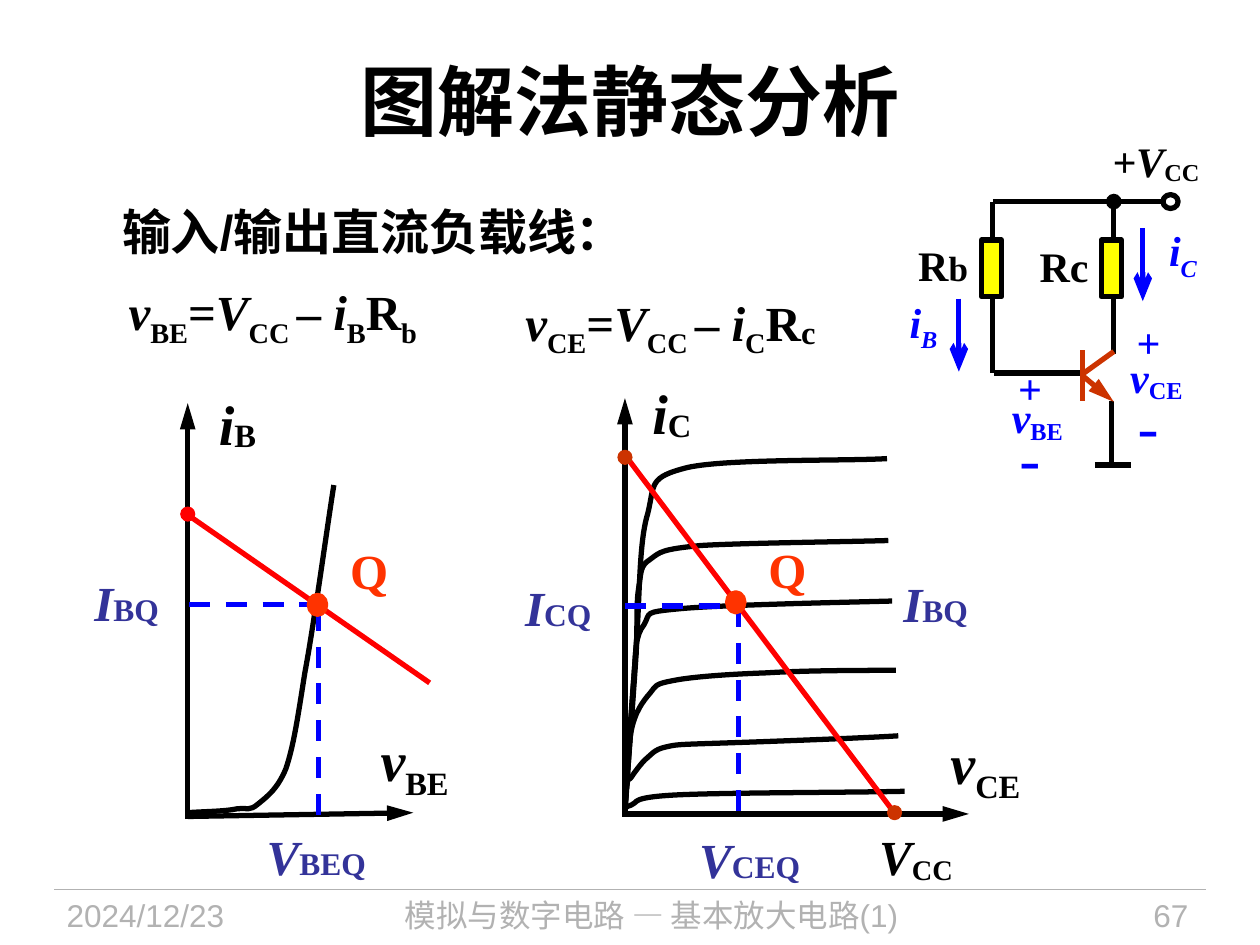
from dataclasses import dataclass
from lxml import etree
from pptx import Presentation
from pptx.dml.color import RGBColor
from pptx.enum.dml import MSO_LINE
from pptx.enum.shapes import MSO_CONNECTOR, MSO_SHAPE
from pptx.enum.text import MSO_ANCHOR, MSO_AUTO_SIZE, PP_ALIGN
from pptx.oxml.ns import qn
from pptx.util import Inches, Pt

LEFT, CENTER, RIGHT = PP_ALIGN.LEFT, PP_ALIGN.CENTER, PP_ALIGN.RIGHT
TOP, MIDDLE = MSO_ANCHOR.TOP, MSO_ANCHOR.MIDDLE
OVAL, RECTANGLE = MSO_SHAPE.OVAL, MSO_SHAPE.RECTANGLE


@dataclass(frozen=True)
class Theme:
    black: str = "000000"
    gray: str = "B2B2B2"
    blue: str = "0000FF"
    navy: str = "333399"
    red: str = "FF0000"
    orange: str = "FF3300"
    rust: str = "CC3300"
    yellow: str = "FFFF00"
    sans: str = "Arial"
    serif: str = "Times New Roman"
    title: int = 44
    minus: int = 36
    axis: int = 32
    body: int = 28
    circuit: int = 24
    small: int = 18
    stroke: float = 3


T = Theme()


def symbol(letter, subscript, baseline=0, size=None, italic=False):
    """An italic quantity and its subscript, as (text, italic, baseline, size)."""
    return [(letter, True, 0, None), (subscript, italic, baseline, size)]


def load_equation(voltage, current, resistor):
    return (symbol("v", voltage, -25) + [("=", False, 0, None)] + symbol("V", "CC ", -25)
            + [("– ", False, 0, None)] + symbol("i", current, -25)
            + [("R", False, 0, None), resistor])


# Content: boxes are (left, top, width, height) in inches
TITLE = "图解法静态分析"
HEADING = "输入/输出直流负载线："
FOOTER = [
    ("2024/12/23", (0.43, 7.06, 1.88, 0.44), LEFT),
    ("模拟与数字电路 — 基本放大电路(1)", (2.49, 7.06, 5.36, 0.44), CENTER),
    ("67", (8.2, 7.06, 1.33, 0.44), RIGHT),
]
EQUATIONS = [
    (load_equation("BE", "B", ("b", False, -25, None)), (0.75, 2.06, 2.83, 0.83)),
    (load_equation("CE", "C", ("c", False, -5, T.axis)), (3.98, 2.24, 2.68, 0.57)),
]
AXIS_LABELS = [
    (symbol("i", "B", -5), (1.61, 3.04, 0.55, 0.63), CENTER),
    (symbol("v", "BE", -25), (2.9, 5.75, 0.78, 0.63), CENTER),
    (symbol("i", "C", -5), (5.08, 2.96, 0.64, 0.63), LEFT),
    (symbol("v", "CE", -25), (7.42, 5.77, 0.8, 0.63), CENTER),
]
POINT_LABELS = [
    (symbol("V", "BEQ", size=T.small), (2.02, 6.51, 0.98, 0.57), T.navy),
    (symbol("V", "CEQ", size=T.small), (5.45, 6.53, 1, 0.57), T.navy),
    (symbol("I", "BQ", size=T.small), (0.65, 4.49, 0.71, 0.57), T.navy),
    (symbol("I", "CQ", size=T.small), (4.07, 4.53, 0.72, 0.57), T.navy),
    (symbol("I", "BQ", size=T.small), (7.07, 4.5, 0.71, 0.57), T.navy),
    (symbol("V", "CC", -10), (6.79, 6.51, 0.96, 0.57), T.black),
    ("Q", (2.68, 4.24, 0.5, 0.57), T.orange),
    ("Q", (6, 4.23, 0.5, 0.57), T.orange),
]
CIRCUIT_LABELS = [
    ([("R", False, 0, None), ("b", False, 0, 20)], (7.19, 1.85, 0.59, 0.5), T.black, CENTER),
    ("Rc", (8.15, 1.86, 0.59, 0.5), T.black, CENTER),
    (symbol("+V", "CC", -10), (8.73, 1.03, 0.93, 0.5), T.black, LEFT),
    (symbol("i", "C", -25, italic=True), (9.18, 1.76, 0.56, 0.5), T.blue, LEFT),
    (symbol("i", "B", -25, italic=True), (7.11, 2.33, 0.44, 0.5), T.blue, CENTER),
]
# Polarity marks: voltage, then left and top of plus, name and minus
POLARITIES = [("CE", (9.02, 2.51), (8.97, 2.8), (9.03, 3.07)),
              ("BE", (8.08, 2.88), (8.03, 3.12), (8.09, 3.32))]

# Each curve is a start point followed by Bezier control points
INPUT_CURVES = [
    [(1.49, 6.45), (1.64, 6.44), (1.79, 6.44), (1.88, 6.42), (1.97, 6.41), (1.98, 6.44),
     (2.05, 6.38), (2.11, 6.33), (2.2, 6.27), (2.27, 6.1), (2.33, 5.92), (2.36, 5.72),
     (2.42, 5.34), (2.49, 4.97), (2.6, 4.16), (2.65, 3.85)],
]
OUTPUT_CURVES = [
    [(4.96, 6.43), (4.97, 6.43), (4.94, 6.41), (5.01, 6.39), (5.07, 6.37), (4.99, 6.33),
     (5.35, 6.31), (5.71, 6.29), (6.8, 6.29), (7.18, 6.28)],
    [(4.96, 6.44), (4.96, 6.4), (4.97, 6.26), (4.98, 6.21), (4.98, 6.17), (4.99, 6.2),
     (5.01, 6.17), (5.03, 6.14), (5.08, 6.07), (5.12, 6.03), (5.17, 5.99), (5.19, 5.95),
     (5.28, 5.93), (5.37, 5.91), (5.36, 5.91), (5.66, 5.9), (5.97, 5.89), (6.82, 5.86),
     (7.13, 5.84)],
    [(4.96, 6.44), (4.97, 6.33), (4.98, 5.96), (5.01, 5.8), (5.04, 5.65), (5.1, 5.57),
     (5.16, 5.5), (5.21, 5.44), (5.19, 5.43), (5.35, 5.4), (5.5, 5.37), (5.8, 5.35),
     (6.09, 5.34), (6.39, 5.32), (6.9, 5.32), (7.11, 5.32)],
    [(4.96, 6.39), (4.97, 6.23), (5.01, 5.63), (5.03, 5.39), (5.05, 5.15), (5.04, 5.05),
     (5.11, 4.96), (5.17, 4.86), (5.09, 4.86), (5.41, 4.83), (5.74, 4.8), (6.73, 4.78),
     (7.08, 4.77)],
    [(4.96, 6.39), (4.98, 6.19), (5.03, 5.47), (5.05, 5.18), (5.06, 4.89), (5.05, 4.78),
     (5.07, 4.66), (5.09, 4.54), (5.08, 4.49), (5.16, 4.44), (5.24, 4.38), (5.25, 4.36),
     (5.56, 4.33), (5.88, 4.31), (6.74, 4.3), (7.05, 4.29)],
    [(4.96, 6.44), (4.98, 6.21), (5.02, 5.5), (5.05, 5.11), (5.08, 4.72), (5.07, 4.31),
     (5.14, 4.08), (5.2, 3.84), (5.14, 3.79), (5.46, 3.71), (5.78, 3.64), (6.71, 3.66),
     (7.04, 3.64)],
]
PLOTS = [
    dict(axes=[(1.49, 6.5, 1.49, 3.2), (1.49, 6.48, 3.28, 6.45)], curves=INPUT_CURVES,
         guides=[(1.5, 4.8, 2.52, 4.8), (2.53, 4.84, 2.53, 6.47)], q=(2.52, 4.8),
         load=(1.51, 4.1, 3.41, 5.42), ends=[(1.49, 4.08)], end_color=T.red),
    dict(axes=[(4.96, 6.46, 4.96, 3.16), (4.94, 6.46, 7.69, 6.46)], curves=OUTPUT_CURVES,
         guides=[(4.96, 4.81, 5.91, 4.81), (5.86, 4.81, 5.86, 6.47)], q=(5.84, 4.78),
         load=(4.99, 3.65, 7.12, 6.48), ends=[(4.96, 3.63), (7.1, 6.45)], end_color=T.rust),
]
WIRES = [(7.88, 1.6, 7.88, 2.96), (7.88, 1.6, 9.23, 1.6), (7.89, 2.96, 8.61, 2.96),
         (8.82, 3.18, 8.82, 3.69), (8.69, 3.69, 8.98, 3.69)]
TRANSISTOR = [((8.59, 2.78, 8.59, 3.18), {}), ((8.59, 2.97, 8.84, 2.79), {}),
              ((8.59, 2.98, 8.84, 3.19), {"tail": "triangle"})]
CURRENT_ARROWS = [(9.07, 1.81, 9.07, 2.39), (7.61, 2.37, 7.61, 2.95)]
RESISTORS = [7.87, 8.82]

presentation = Presentation()
presentation.slide_width, presentation.slide_height = Inches(10), Inches(7.5)
slide = presentation.slides.add_slide(presentation.slide_layouts[5])
shapes = slide.shapes


def color(value):
    return RGBColor.from_string(value)


def write(shape, content, size, ink=T.black, font=T.serif, bold=True, align=CENTER,
          anchor=MIDDLE, padding=(0.1, 0.05), wrap=False, spacing=None):
    frame = shape.text_frame
    frame.word_wrap, frame.vertical_anchor = wrap, anchor
    frame.auto_size = MSO_AUTO_SIZE.NONE
    frame.margin_left = frame.margin_right = Inches(padding[0])
    frame.margin_top = Inches(padding[1])
    frame.margin_bottom = Inches(0.05 if padding[0] else 0)
    paragraph = frame.paragraphs[0]
    paragraph.alignment, paragraph.line_spacing = align, spacing
    runs = [(content, False, 0, None)] if isinstance(content, str) else content
    for text, italic, baseline, run_size in runs:
        run = paragraph.add_run()
        run.text = text
        run.font.name, run.font.size = font, Pt(run_size or size)
        run.font.bold, run.font.italic = bold, italic
        run.font.color.rgb = color(ink)
        if baseline:
            run.font._element.set("baseline", str(baseline * 1000))


def label(content, box, size, **style):
    write(shapes.add_textbox(*map(Inches, box)), content, size, **style)


def line(ends, ink=T.black, width=T.stroke, dash=False, head=None, tail=None):
    connector = shapes.add_connector(MSO_CONNECTOR.STRAIGHT, *map(Inches, ends))
    connector.line.color.rgb, connector.line.width = color(ink), Pt(width)
    if dash:
        connector.line.dash_style = MSO_LINE.DASH
    properties = connector._element.spPr
    for tag, kind, length in (("a:headEnd", head, "med"), ("a:tailEnd", tail, "lg")):
        if kind:
            etree.SubElement(properties.find(qn("a:ln")), qn(tag), type=kind, w="med", len=length)
    etree.SubElement(properties, qn("a:effectLst"))


def block(kind, center, size, fill=None, ink=T.black, width=T.stroke):
    (x, y), (w, h) = center, size
    shape = shapes.add_shape(kind, *map(Inches, (x - w / 2, y - h / 2, w, h)))
    shape.shadow.inherit = False
    if fill:
        shape.fill.solid()
        shape.fill.fore_color.rgb = color(fill)
    else:
        shape.fill.background()
    shape.line.color.rgb, shape.line.width = color(ink), Pt(width)


def curve(points):
    vertices = [(Inches(x), Inches(y)) for x, y in points]
    builder = shapes.build_freeform(*vertices[0])
    builder.add_line_segments(vertices[1:], close=False)
    shape = builder.convert_to_shape()
    # Join every three segments into one Bezier segment
    segments = list(shape._element.iter(qn("a:lnTo")))
    for first in range(0, len(segments), 3):
        start, *others = segments[first:first + 3]
        bezier = etree.Element(qn("a:cubicBezTo"))
        start.addprevious(bezier)
        for segment in (start, *others):
            bezier.append(segment[0])
            segment.getparent().remove(segment)
    shape.shadow.inherit = False
    shape.fill.background()
    shape.line.color.rgb, shape.line.width = color(T.black), Pt(T.stroke)


# Title, heading and footer
title = shapes.title
title.left, title.top, title.width, title.height = map(Inches, (0.5, 0.17, 9, 1.25))
write(title, TITLE, T.title, font=T.sans, wrap=True)
label(HEADING, (0.87, 1.55, 5.08, 0.57), T.body, font=T.sans, align=LEFT, anchor=TOP, wrap=True)
line((0.43, 7.06, 9.57, 7.06), T.gray, 0.75)
for text, box, align in FOOTER:
    label(text, box, T.small, ink=T.gray, font=T.sans, bold=False, align=align,
          anchor=TOP, wrap=True)
for content, box in EQUATIONS:
    label(content, box, T.body, padding=(0.1, 0), spacing=1.2)

# Characteristic plots with load line and operating point
for plot in PLOTS:
    for axis in plot["axes"]:
        line(axis, tail="triangle")
    for points in plot["curves"]:
        curve(points)
    for guide in plot["guides"]:
        line(guide, T.blue, dash=True)
    line(plot["load"], T.red)
    block(OVAL, plot["q"], (0.13, 0.15), T.orange, T.orange)
    for end in plot["ends"]:
        block(OVAL, end, (0.11, 0.11), plot["end_color"], plot["end_color"], 0.75)
for content, box, align in AXIS_LABELS:
    label(content, box, T.axis, align=align, wrap=align == LEFT)
for content, box, ink in POINT_LABELS:
    label(content, box, T.body, ink=ink)

# Transistor circuit
for wire in WIRES:
    line(wire)
line((8.84, 1.6, 8.84, 2.81), head="oval")
for ends, arrow in TRANSISTOR:
    line(ends, T.rust, **arrow)
for x in RESISTORS:
    block(RECTANGLE, (x, 2.13), (0.16, 0.45), T.yellow)
block(OVAL, (9.29, 1.6), (0.12, 0.11))
for arrow in CURRENT_ARROWS:
    line(arrow, T.blue, tail="arrow")
for content, box, ink, align in CIRCUIT_LABELS:
    label(content, box, T.circuit, ink=ink, align=align)
for name, plus, middle, minus in POLARITIES:
    mark = dict(ink=T.blue, align=LEFT, padding=(0, 0))
    label("+", (*plus, 0.19, 0.4), T.circuit, **mark)
    label(symbol("v", name, -15), (*middle, 0.45, 0.4), T.circuit, **mark)
    label("-", (*minus, 0.17, 0.6), T.minus, bold=False, **mark)

presentation.save("out.pptx")
